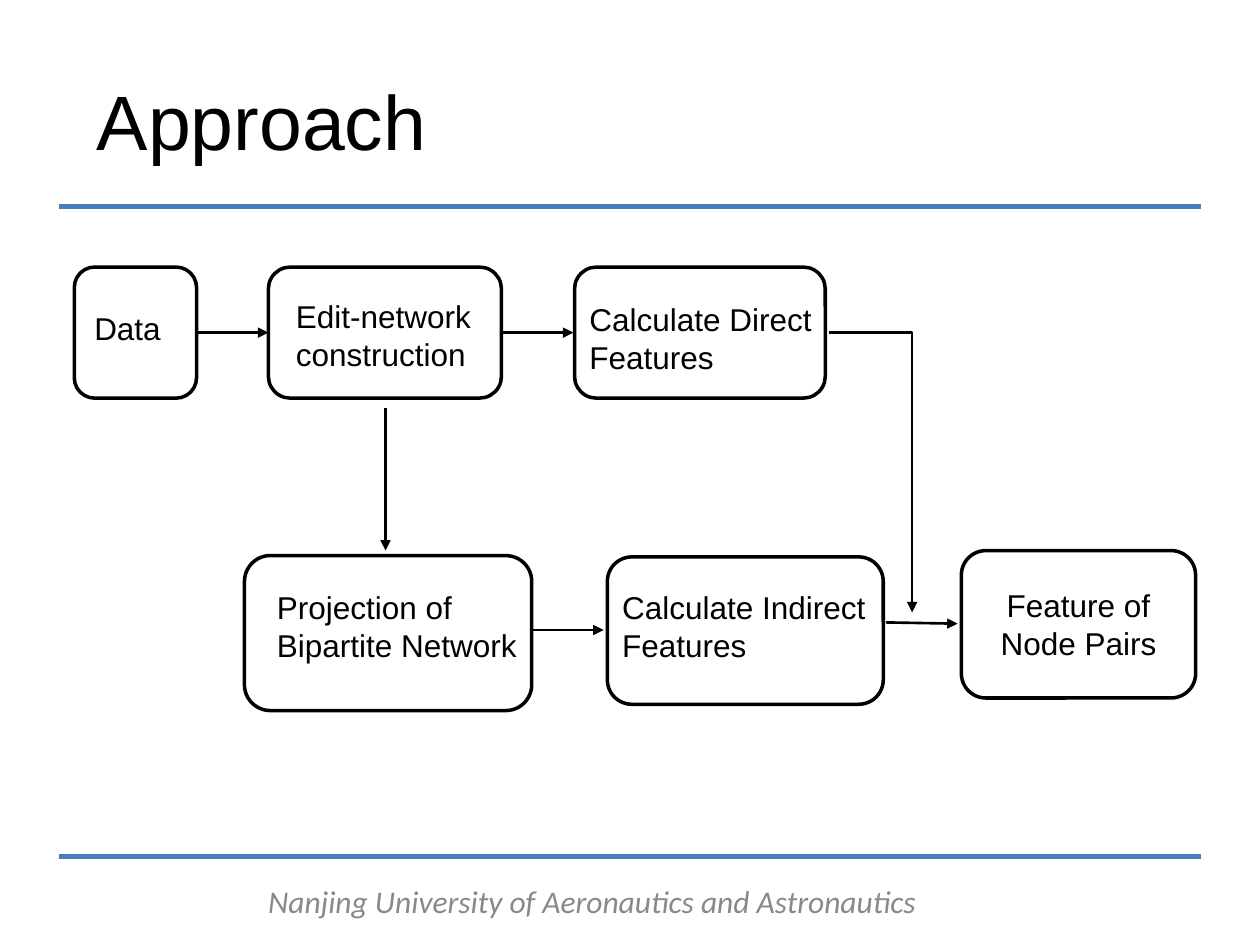
import pptx
import pptx.dml.color
import pptx.enum.shapes
import pptx.enum.text
import pptx.oxml.ns
import pptx.oxml.xmlchemy
import pptx.util
from pptx.util import Inches

BLACK = pptx.dml.color.RGBColor(0x00, 0x00, 0x00)
WHITE = pptx.dml.color.RGBColor(0xFF, 0xFF, 0xFF)
BLUE = pptx.dml.color.RGBColor(0x4A, 0x7E, 0xBB)
GRAY = pptx.dml.color.RGBColor(0x89, 0x89, 0x89)

ALIGN = pptx.enum.text.PP_ALIGN
ANCHOR = pptx.enum.text.MSO_ANCHOR
CONNECTOR = pptx.enum.shapes.MSO_CONNECTOR

BODY = {"name": "Arial", "size": pptx.util.Pt(18)}
HEADING = {"name": "Arial", "size": pptx.util.Pt(44)}
FOOTING = {"name": "Calibri", "size": pptx.util.Pt(18), "italic": True}

TITLE = ("Approach", (0.67, 0.31, 7.63, 1.28))
FOOTER = ("Nanjing University of Aeronautics and Astronautics", (2.03, 6.95, 5.7, 0.4))
RULE_HEIGHTS = [1.64, 6.8]

STEPS = [
    ((0.59, 2.12, 0.97, 1.04), ["Data"], (0.65, 2.4, 1.03, 0.4)),
    ((2.13, 2.12, 1.85, 1.04), ["Edit-network construction"], (2.25, 2.31, 1.7, 0.7)),
    ((4.56, 2.12, 1.99, 1.04), ["Calculate Direct Features"], (4.58, 2.33, 2.1, 0.7)),
    ((1.94, 4.41, 2.28, 1.23), ["Projection of Bipartite Network"], (2.1, 4.62, 2.27, 0.7)),
    ((4.82, 4.42, 2.19, 1.17), ["Calculate Indirect", "Features"], (4.84, 4.62, 2.24, 0.7)),
]
RESULT = ((7.63, 4.37, 1.86, 1.17), ["Feature of Node Pairs"])

STRAIGHT_ARROWS = [
    (1.56, 2.64, 2.13, 2.64),
    (3.98, 2.64, 4.55, 2.64),
    (3.06, 3.24, 3.06, 4.37),
    (4.22, 5, 4.79, 5),
    (7.03, 4.94, 7.6, 4.95),
]
BENT_ARROW = (6.58, 2.64, 7.24, 4.86)


def inches(values):
    return [Inches(value) for value in values]


def write(frame, lines, font, color=BLACK, align=ALIGN.LEFT, anchor=ANCHOR.TOP):
    frame.word_wrap = True
    frame.vertical_anchor = anchor
    frame.text = "\n".join(lines)
    for paragraph in frame.paragraphs:
        paragraph.alignment = align
        for attribute, value in font.items():
            setattr(paragraph.font, attribute, value)
        paragraph.font.color.rgb = color


def add_text(slide, place, lines, font, **layout):
    write(slide.shapes.add_textbox(*inches(place)).text_frame, lines, font, **layout)


def add_step(slide, place):
    step = slide.shapes.add_shape(
        pptx.enum.shapes.MSO_SHAPE.ROUNDED_RECTANGLE, *inches(place))
    step.shadow.inherit = False
    step.fill.solid()
    step.fill.fore_color.rgb = WHITE
    step.line.color.rgb = BLACK
    step.line.width = pptx.util.Pt(2)
    return step


def add_line(slide, ends, color, width, kind=CONNECTOR.STRAIGHT):
    line = slide.shapes.add_connector(kind, *inches(ends))
    line.line.color.rgb = color
    line.line.width = pptx.util.Pt(width)
    line._element.spPr.append(pptx.oxml.xmlchemy.OxmlElement("a:effectLst"))
    return line


def add_arrow(slide, ends, kind=CONNECTOR.STRAIGHT):
    arrow = add_line(slide, ends, BLACK, 1.5, kind)
    head = pptx.oxml.xmlchemy.OxmlElement("a:tailEnd")
    head.set("type", "triangle")
    arrow.line._get_or_add_ln().append(head)
    return arrow


def main():
    deck = pptx.Presentation()
    deck.slide_width, deck.slide_height = Inches(10), Inches(7.5)
    slide = deck.slides.add_slide(deck.slide_layouts[6])

    for height in RULE_HEIGHTS:
        add_line(slide, (0.47, height, 9.53, height), BLUE, 3)
    footer, footer_place = FOOTER
    add_text(slide, footer_place, [footer], FOOTING, color=GRAY, anchor=ANCHOR.MIDDLE)
    title, title_place = TITLE
    add_text(slide, title_place, [title], HEADING, anchor=ANCHOR.MIDDLE)

    for place, label, label_place in STEPS:
        add_step(slide, place)
        add_text(slide, label_place, label, BODY)
    result_place, result_label = RESULT
    write(add_step(slide, result_place).text_frame, result_label, BODY,
          align=ALIGN.CENTER, anchor=ANCHOR.MIDDLE)

    for ends in STRAIGHT_ARROWS:
        add_arrow(slide, ends)
    bend = add_arrow(slide, BENT_ARROW, CONNECTOR.ELBOW)
    bend._element.spPr.find(pptx.oxml.ns.qn("a:prstGeom")).set("prst", "bentConnector2")

    deck.save("out.pptx")


if __name__ == "__main__":
    main()
